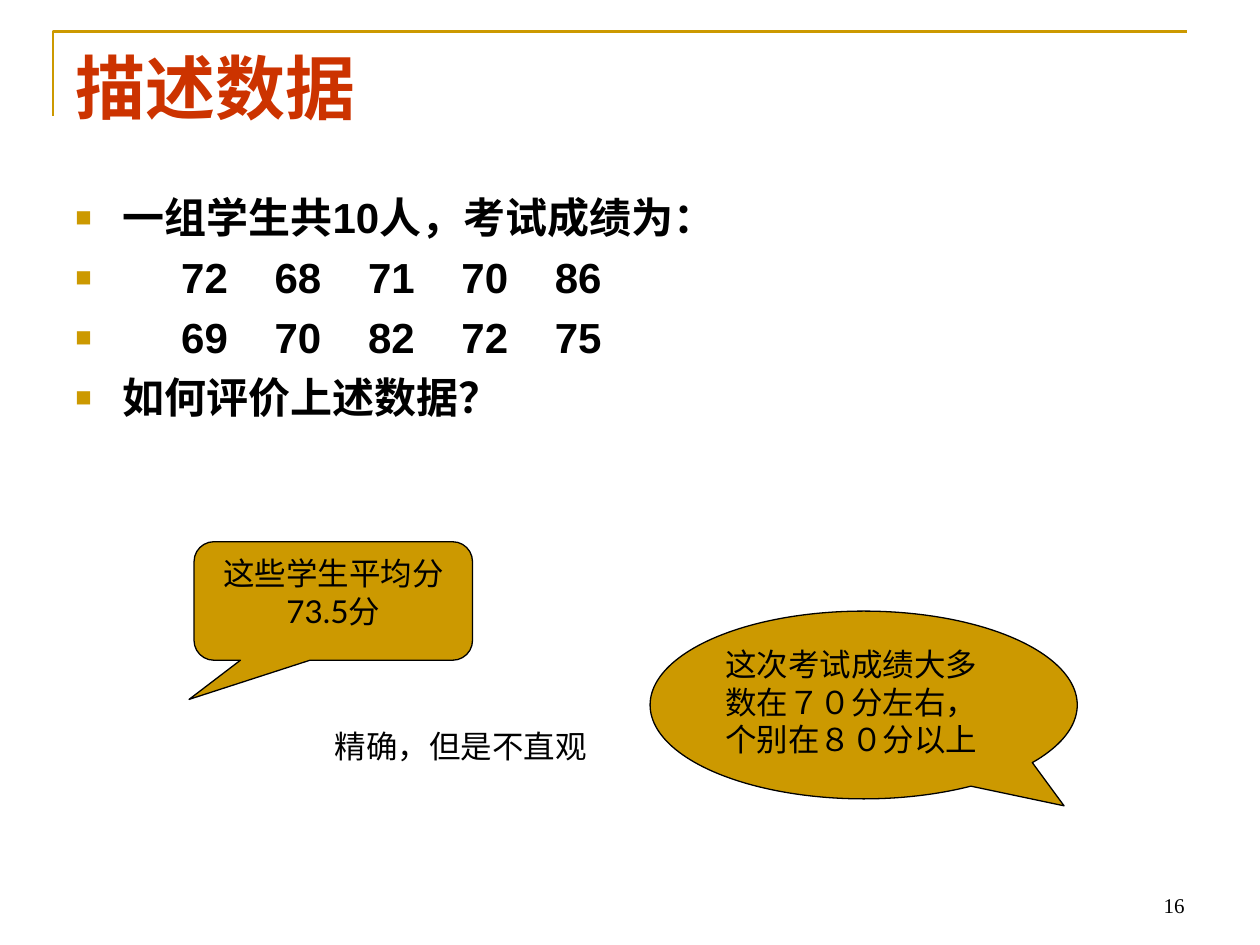
from dataclasses import dataclass

from lxml.etree import SubElement
from pptx import Presentation
from pptx.dml.color import RGBColor
from pptx.enum.shapes import MSO_SHAPE
from pptx.enum.text import MSO_ANCHOR, PP_ALIGN
from pptx.oxml.ns import qn
from pptx.util import Inches, Pt


@dataclass(frozen=True)
class Theme:
    gold: RGBColor = RGBColor(0xCC, 0x99, 0x00)
    red: RGBColor = RGBColor(0xCC, 0x33, 0x00)
    black: RGBColor = RGBColor(0, 0, 0)
    title_size: int = 40
    body_size: int = 24
    note_size: int = 18
    number_size: int = 12


theme = Theme()
presentation = Presentation()
presentation.slide_width = Inches(10)
presentation.slide_height = Inches(7.5)
slide = presentation.slides.add_slide(presentation.slide_layouts[5])

# The slide is a grid of 100 columns by 75 rows of square cells.
cell = presentation.slide_width / 100


def grid(*cells):
    return [round(count * cell) for count in cells]


def style(paragraph, name, size, color=theme.black, bold=False, align=PP_ALIGN.LEFT):
    paragraph.alignment = align
    font = paragraph.font
    font.name, font.size, font.bold = name, Pt(size), bold
    font.color.rgb = color


# Corner rule beside the title
builder = slide.shapes.build_freeform(*grid(4.2, 9.2), scale=1.0)
builder.add_line_segments([grid(4.2, 2.5), grid(94.2, 2.5)], close=False)
corner = builder.convert_to_shape()
corner.fill.background()
corner.line.color.rgb = theme.gold
corner.line.width = Pt(1.5)
corner.shadow.inherit = False

# Title
title = slide.shapes.title
title.left, title.top, title.width, title.height = grid(5, 3, 90, 12.5)
title.text_frame.text = "描述数据"
title.text_frame.vertical_anchor = MSO_ANCHOR.TOP
style(title.text_frame.paragraphs[0], "Noto Sans CJK SC", theme.title_size, theme.red, True)

# Bulleted statements and rows of scores
body = slide.shapes.add_textbox(*grid(5, 14.7, 90, 52.4))
body.text_frame.word_wrap = True
statement_indent, score_indent = grid(3.75, 8.4)
lines = [
    "一组学生共10人，考试成绩为：",
    [72, 68, 71, 70, 86],
    [69, 70, 82, 72, 75],
    "如何评价上述数据？",
]
for index, line in enumerate(lines):
    paragraph = body.text_frame.paragraphs[0] if index == 0 else body.text_frame.add_paragraph()
    style(paragraph, "Arial", theme.body_size, bold=True)
    paragraph.space_before = Pt(5.5)
    indent = statement_indent
    if isinstance(line, str):
        paragraph.add_run().text = line
    else:
        indent = score_indent
        for position, score in enumerate(line):
            if position:
                gap = paragraph.add_run()
                gap.text = " "
                gap.font._element.set("spc", "2000")
            paragraph.add_run().text = str(score)
    properties = paragraph._p.get_or_add_pPr()
    properties.set("marL", str(indent))
    properties.set("indent", str(-indent))
    bullet_color = SubElement(properties, qn("a:buClr"))
    SubElement(bullet_color, qn("a:srgbClr"), val=str(theme.gold))
    SubElement(properties, qn("a:buSzPct"), val="65000")
    SubElement(properties, qn("a:buFont"), typeface="Arial")
    SubElement(properties, qn("a:buChar"), char="■")
    # The schema places run defaults after the bullet settings.
    properties.append(properties.find(qn("a:defRPr")))

# Speech callouts
callouts = [
    (MSO_SHAPE.ROUNDED_RECTANGULAR_CALLOUT, (15.4, 43, 22.1, 9.4),
     (-0.518, 0.831, 0.167), "这些学生平均分73.5分", PP_ALIGN.CENTER),
    (MSO_SHAPE.OVAL_CALLOUT, (51.6, 48.5, 33.9, 14.9),
     (0.469, 0.537), "这次考试成绩大多数在７０分左右，个别在８０分以上", PP_ALIGN.LEFT),
]
for kind, cells, adjustments, text, align in callouts:
    callout = slide.shapes.add_shape(kind, *grid(*cells))
    for index, value in enumerate(adjustments):
        callout.adjustments[index] = value
    callout.shadow.inherit = False
    callout.fill.solid()
    callout.fill.fore_color.rgb = theme.gold
    callout.line.color.rgb = theme.black
    callout.line.width = Pt(0.75)
    callout.text_frame.word_wrap = True
    callout.text_frame.vertical_anchor = MSO_ANCHOR.TOP
    callout.text_frame.text = text
    style(callout.text_frame.paragraphs[0], "Lato", theme.note_size, align=align)

# Remark and slide number
labels = [
    ((25.6, 57.2, 22, 4), "精确，但是不直观", "Lato", theme.note_size,
     PP_ALIGN.LEFT, MSO_ANCHOR.TOP),
    ((71.7, 68.3, 23.3, 5), "16", "Times New Roman", theme.number_size,
     PP_ALIGN.RIGHT, MSO_ANCHOR.BOTTOM),
]
for cells, text, name, size, align, anchor in labels:
    label = slide.shapes.add_textbox(*grid(*cells))
    label.text_frame.word_wrap = True
    label.text_frame.vertical_anchor = anchor
    label.text_frame.text = text
    style(label.text_frame.paragraphs[0], name, size, align=align)

presentation.save("out.pptx")
